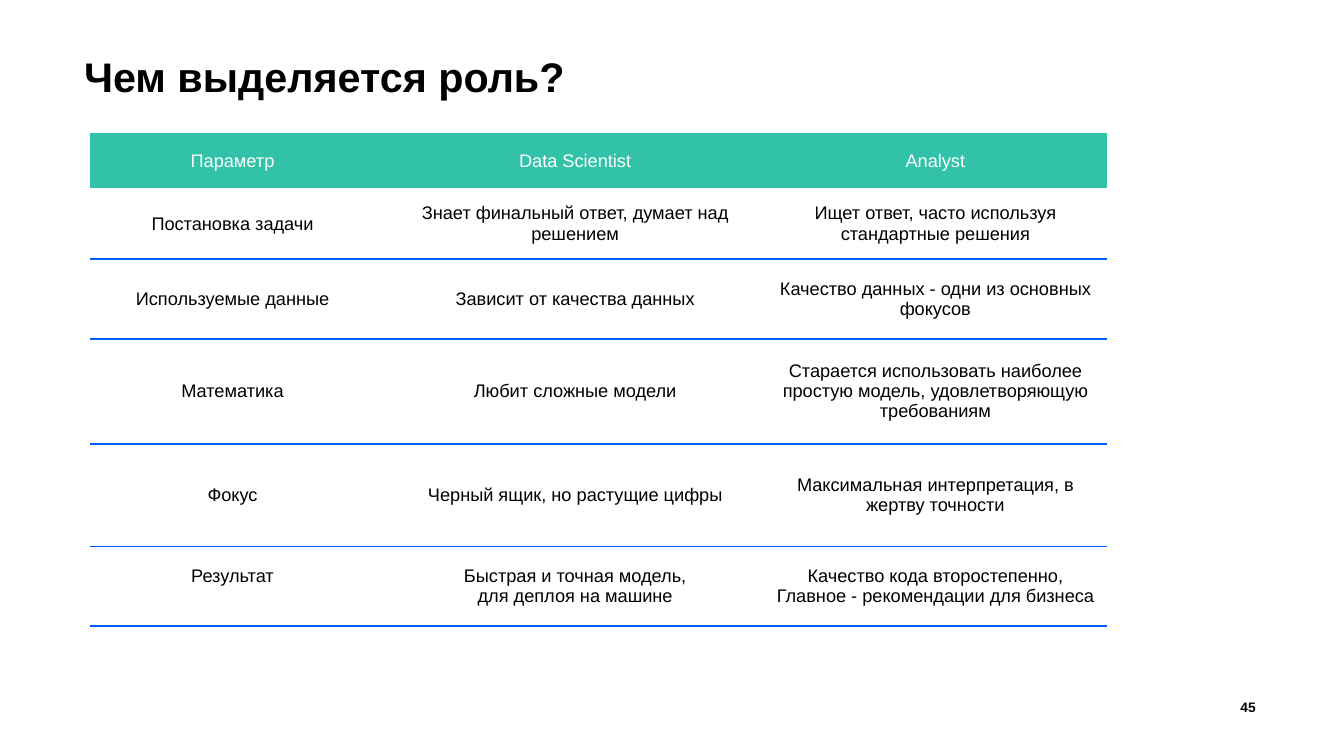
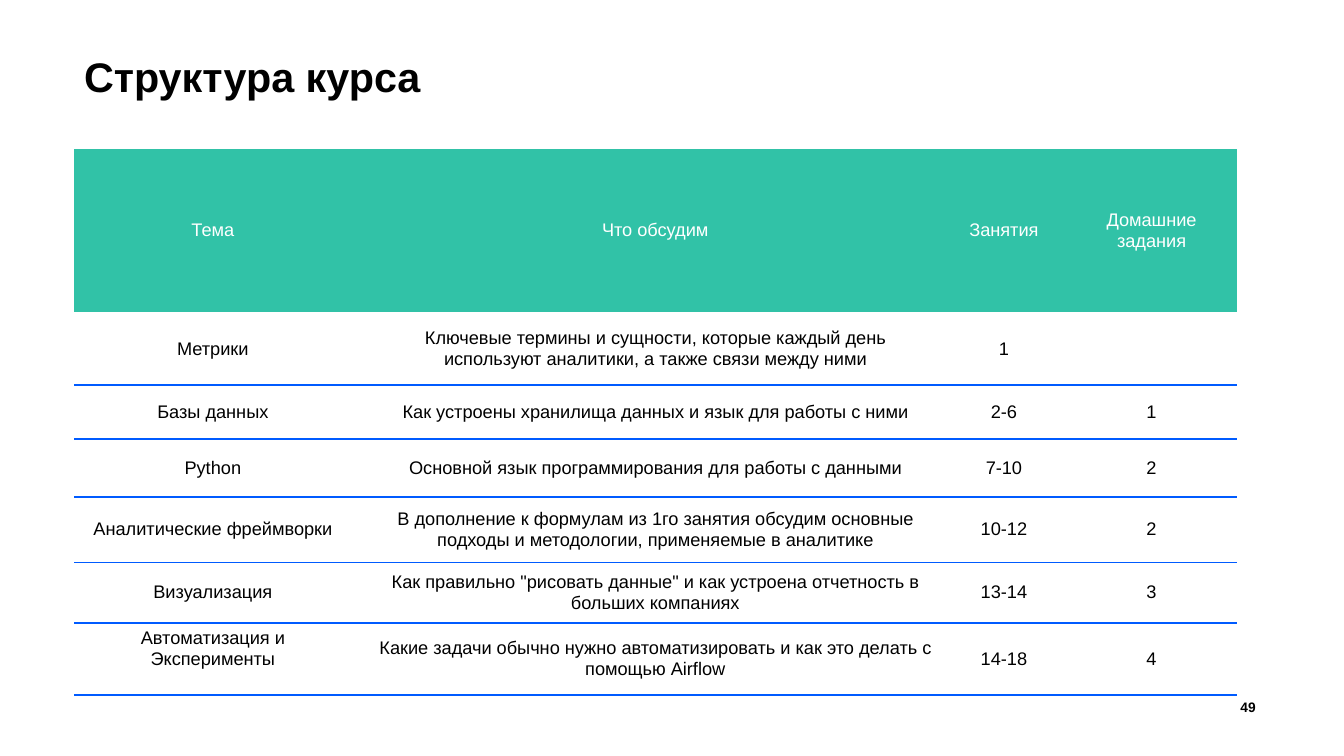
import pptx
import pptx.dml.color
import pptx.enum.text
import pptx.oxml
import pptx.oxml.ns
import pptx.util

Pt = pptx.util.Pt
Align = pptx.enum.text.PP_ALIGN
Anchor = pptx.enum.text.MSO_ANCHOR

FONT = "Arial"
BLACK, WHITE, GREEN, BLUE = "000000", "FFFFFF", "31C2A7", "005BFF"
SLIDE_SIZE = (960, 540)
TITLE_BOX = (60, 31.7, 840, 62.6)
NUMBER_BOX = (849.6, 496.8, 50.4, 18.7)
CELL_SIZE = 13
CELL_LINE = 14.4
RULE_WIDTH = 1.5

ROLES = [
    ["Параметр", "Data Scientist", "Analyst"],
    ["Постановка задачи", "Знает финальный ответ, думает над решением",
     "Ищет ответ, часто используя стандартные решения"],
    ["Используемые данные", "Зависит от качества данных",
     "Качество данных - одни из основных фокусов"],
    ["Математика", "Любит сложные модели",
     "Старается использовать наиболее простую модель, удовлетворяющую\nтребованиям"],
    ["Фокус", "Черный ящик, но растущие цифры",
     "Максимальная интерпретация, в жертву точности"],
    ["Результат", "Быстрая и точная модель,\nдля деплоя на машине",
     "Качество кода второстепенно,\nГлавное - рекомендации для бизнеса"],
]

COURSE = [
    ["Тема", "Что обсудим", "Занятия", "Домашние задания"],
    ["Метрики", "Ключевые термины и сущности, которые каждый день используют "
     "аналитики, а также связи между ними", "1", ""],
    ["Базы данных", "Как устроены хранилища данных и язык для работы с ними", "2-6", "1"],
    ["Python", "Основной язык программирования для работы с данными", "7-10", "2"],
    ["Аналитические фреймворки", "В дополнение к формулам из 1го занятия обсудим основные "
     "подходы и методологии, применяемые в аналитике", "10-12", "2"],
    ["Визуализация", "Как правильно \"рисовать данные\" и как устроена отчетность "
     "в больших компаниях", "13-14", "3"],
    ["Автоматизация и Эксперименты", "Какие задачи обычно нужно автоматизировать "
     "и как это делать с помощью Airflow", "14-18", "4"],
]


def color(value):
    """Return the colour for a hex string."""
    return pptx.dml.color.RGBColor.from_string(value)


def set_margins(target, margins):
    """Set left, top, right and bottom margins of a cell or text frame."""
    for side, margin in zip(("left", "top", "right", "bottom"), margins):
        setattr(target, "margin_" + side, Pt(margin))


def write(frame, text, size, fill, align, bold=False, spacing=None):
    """Write one paragraph for each line of the text."""
    for index, line in enumerate(text.split("\n")):
        paragraph = frame.add_paragraph() if index else frame.paragraphs[0]
        paragraph.alignment = align
        paragraph.line_spacing = spacing
        run = paragraph.add_run()
        run.text = line
        run.font.name = FONT
        run.font.size = Pt(size)
        run.font.bold = bold
        run.font.color.rgb = color(fill)


def add_text(slide, box, text, size, align, anchor, margins, spacing=None):
    """Add a bold black text box."""
    frame = slide.shapes.add_textbox(*map(Pt, box)).text_frame
    frame.word_wrap = True
    frame.vertical_anchor = anchor
    set_margins(frame, margins)
    write(frame, text, size, BLACK, align, True, spacing)


def set_borders(cell, ruled_sides):
    """Draw blue rules on the given sides and clear the others."""
    properties = cell._tc.get_or_add_tcPr()
    namespace = pptx.oxml.ns.nsdecls("a")
    for side in "LRTB":
        paint = "<a:noFill/>"
        if side in ruled_sides:
            paint = f'<a:solidFill><a:srgbClr val="{BLUE}"/></a:solidFill>'
        properties.append(pptx.oxml.parse_xml(
            f'<a:ln{side} {namespace} w="{Pt(RULE_WIDTH)}">{paint}</a:ln{side}>'))


def style_cell(cell, text, row, column, raised):
    """Fill, rule and write one table cell."""
    set_borders(cell, ("", "B")[row] if row < 2 else "TB")
    if row:
        cell.fill.background()
    else:
        cell.fill.solid()
        cell.fill.fore_color.rgb = color(GREEN)
    cell.vertical_anchor = Anchor.MIDDLE
    right = 8 if column else 20
    bottom = 3 + CELL_LINE if raised else 3
    set_margins(cell, (12, 3, right, bottom))
    if text:
        write(cell.text_frame, text, CELL_SIZE, BLACK if row else WHITE, Align.CENTER)


def add_grid(slide, left, top, widths, heights, rows):
    """Add a table with a green header and blue rules."""
    table = slide.shapes.add_table(
        len(rows), len(widths), Pt(left), Pt(top),
        Pt(sum(widths)), Pt(sum(heights))).table
    table.first_row = table.horz_banding = False
    for column, width in zip(table.columns, widths):
        column.width = Pt(width)
    for table_row, height in zip(table.rows, heights):
        table_row.height = Pt(height)
    for row, texts in enumerate(rows):
        for column, text in enumerate(texts):
            raised = row == len(rows) - 1 and column == 0
            style_cell(table.cell(row, column), text, row, column, raised)


def add_table_slide(presentation, title, number, left, top, widths, heights, rows):
    """Add a slide with a title, a table and a page number."""
    slide = presentation.slides.add_slide(presentation.slide_layouts[6])
    add_text(slide, TITLE_BOX, title, 29.5, Align.LEFT, Anchor.TOP, (0, 8.6, 0, 0), 0.9)
    add_text(slide, NUMBER_BOX, number, 9.8, Align.RIGHT, Anchor.BOTTOM, (3, 0, 3, 4.3))
    add_grid(slide, left, top, widths, heights, rows)


def main():
    """Build and save the presentation."""
    presentation = pptx.Presentation()
    presentation.slide_width, presentation.slide_height = map(Pt, SLIDE_SIZE)
    add_table_slide(presentation, "Чем выделяется роль?", "45", 64.2, 95,
                    (211.7, 265.7, 249), (39.6, 50.4, 57, 75, 73.5, 56.8), ROLES)
    add_table_slide(presentation, "Структура курса", "49", 53, 106.2,
                    (206, 414, 84.2, 126.7), (117, 51.8, 38.8, 41, 47, 43, 50.6), COURSE)
    presentation.save("out.pptx")


if __name__ == "__main__":
    main()
